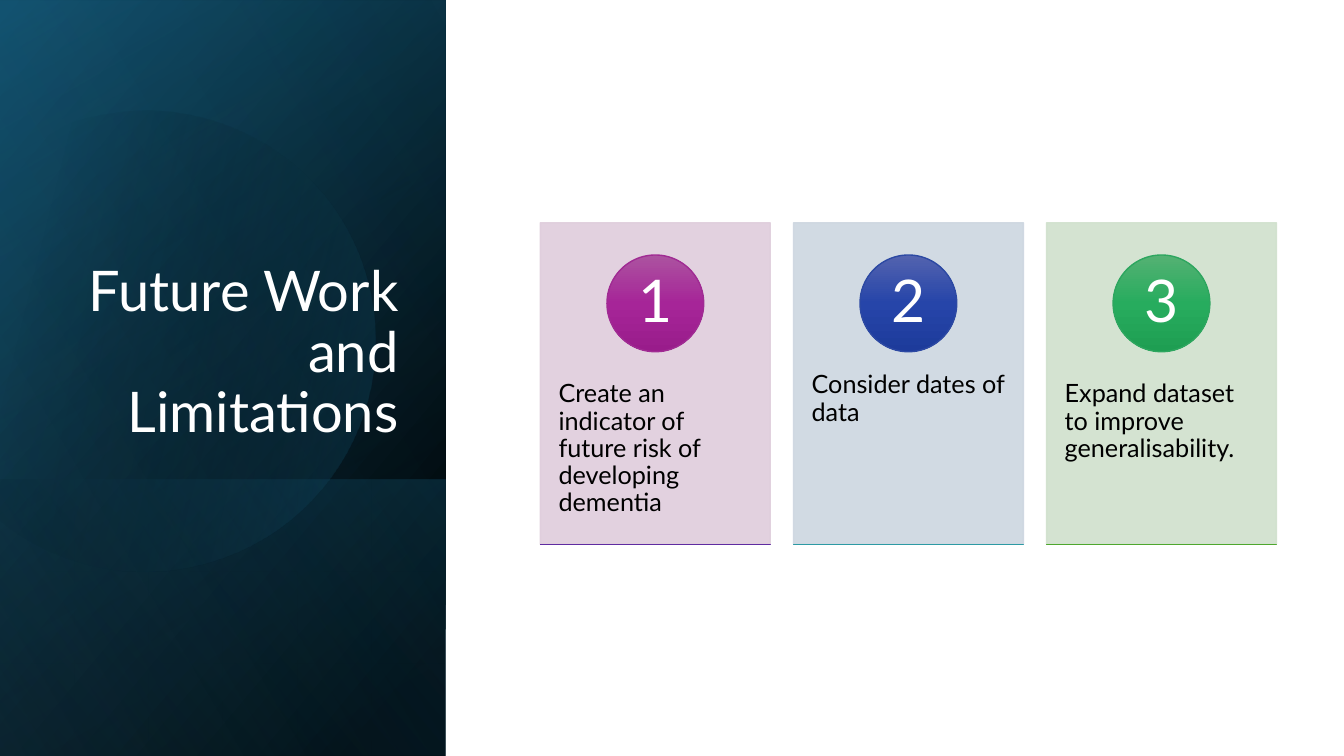
import math

import lxml.etree
import pptx
import pptx.dml.color
import pptx.enum.shapes
import pptx.enum.text
import pptx.oxml.ns
import pptx.util

Inches = pptx.util.Inches
qn = pptx.oxml.ns.qn
SHAPE = pptx.enum.shapes.MSO_SHAPE
ALIGN = pptx.enum.text.PP_ALIGN
ANCHOR = pptx.enum.text.MSO_ANCHOR

# Side panel layers: left, top, width, height, gradient stops, angle
PANEL_LAYERS = [
    (-1.54, 1.54, 7.5, 4.42, [(8, "000000", 100), (100, "104862", 100)], 50),
    (-1.54, 1.55, 7.5, 4.42, [(0, "000000", 0), (99, "156082", 46)], 30),
    (0.84, 3.92, 2.74, 4.42, [(2, "156082", 29), (100, "000000", 30)], 130),
]
PANEL_SHEEN = (-1.54, 1.54, 7.5, 4.42, [(0, "000000", 0), (99, "46B1E1", 11)], 120)

# Disc outline: start point, then curves (three points) and lines (one point)
DISC_START = (1.49, 1.1)
DISC_SEGMENTS = [
    [(2.46, 1.12), (3.35, 1.77), (3.63, 2.75)],
    [(3.98, 3.97), (3.28, 5.23), (2.07, 5.58)],
    [(1.31, 5.8), (0.53, 5.61), (-0.03, 5.14)],
    [(-0.15, 5.03)],
    [(-0.15, 1.75)],
    [(0, 1.61)],
    [(0.23, 1.42), (0.5, 1.28), (0.8, 1.19)],
    [(1.03, 1.13), (1.26, 1.1), (1.49, 1.1)],
]
DISC_CENTRE = (1.585, 3.345)
DISC_TURN = 343.9

# Cards: text, background, circle stops, circle line, rule stops, rule line
CARDS = [
    ("Create an indicator of future risk of developing dementia", "DFCDDC",
     ["AC53A0", "A62598", "991C8B"], "A02B93", ["7353AD", "5E26A7", "531C9A"], "5F2CA1"),
    ("Consider dates of data", "CDD6E0",
     ["5363AF", "2645A9", "1D3B9B"], "2C49A3", ["53A7B0", "279FAA", "1D929D"], "2D9AA4"),
    ("Expand dataset to improve generalisability.", "D0E1CD",
     ["54B173", "27AC5E", "1E9E52"], "2DA65F", ["66B354", "4BAD28", "409F1E"], "4EA72E"),
]


def rgb(value):
    return pptx.dml.color.RGBColor.from_string(value)


def set_alpha(parent, percent):
    for clr in parent.iter(qn("a:srgbClr")):
        lxml.etree.SubElement(clr, qn("a:alpha"), val=str(percent * 1000))


def set_gradient(s, stops, angle):
    s.fill.solid()
    sp_pr = s._element.spPr
    solid = sp_pr.find(qn("a:solidFill"))
    grad = lxml.etree.Element(qn("a:gradFill"), rotWithShape="1")
    stop_list = lxml.etree.SubElement(grad, qn("a:gsLst"))
    for position, color, alpha in stops:
        stop = lxml.etree.SubElement(stop_list, qn("a:gs"), pos=str(position * 1000))
        lxml.etree.SubElement(stop, qn("a:srgbClr"), val=color)
        if alpha < 100:
            set_alpha(stop, alpha)
    lxml.etree.SubElement(grad, qn("a:lin"), ang=str(angle * 60000), scaled="0")
    sp_pr.replace(solid, grad)


def add_shape(slide, kind, box, line=None):
    s = slide.shapes.add_shape(kind, *map(Inches, box))
    s.shadow.inherit = False
    if line:
        s.line.color.rgb = rgb(line)
        s.line.width = pptx.util.Pt(1)
    else:
        s.line.fill.background()
    return s


def add_text(slide, box, text, size, color, align, anchor, inset):
    tf = slide.shapes.add_textbox(*map(Inches, box)).text_frame
    side, end = map(Inches, inset)
    frame = {"word_wrap": True, "vertical_anchor": anchor, "margin_left": side,
             "margin_right": side, "margin_top": end, "margin_bottom": end}
    for name, value in frame.items():
        setattr(tf, name, value)
    p = tf.paragraphs[0]
    p.alignment, p.line_spacing = align, 0.9
    r = p.add_run()
    r.text = text
    for name, value in {"name": "Lato", "size": pptx.util.Pt(size)}.items():
        setattr(r.font, name, value)
    r.font.color.rgb = rgb(color)


def add_layer(slide, left, top, width, height, stops, angle):
    s = add_shape(slide, SHAPE.RECTANGLE, (left, top, width, height))
    s.rotation = 90
    s._element.spPr.find(qn("a:xfrm")).set("flipH", "1")
    set_gradient(s, stops, angle)


def disc_points():
    """Points along the outline, with curves sampled."""
    points = [DISC_START]
    for segment in DISC_SEGMENTS:
        if len(segment) == 1:
            points += segment
            continue
        curve = [points[-1]] + segment
        for step in range(1, 25):
            t = step / 24
            weights = [math.comb(3, i) * t**i * (1 - t)**(3 - i) for i in range(4)]
            points.append(tuple(sum(w * c[axis] for w, c in zip(weights, curve))
                                for axis in range(2)))
    return points


def add_disc(slide):
    turn = math.radians(-DISC_TURN)
    cx, cy = DISC_CENTRE
    level = []
    for x, y in disc_points():
        dx, dy = x - cx, y - cy
        level.append((Inches(cx + dx * math.cos(turn) - dy * math.sin(turn)),
                      Inches(cy + dx * math.sin(turn) + dy * math.cos(turn))))
    builder = slide.shapes.build_freeform(*level[0])
    builder.add_line_segments(level[1:], close=True)
    s = builder.convert_to_shape()
    s.shadow.inherit = False
    s.line.fill.background()
    s.rotation = DISC_TURN
    set_gradient(s, [(29, "000000", 0), (100, "156082", 43)], 30)


def add_side_panel(slide):
    for layer in PANEL_LAYERS:
        add_layer(slide, *layer)
    add_disc(slide)
    add_layer(slide, *PANEL_SHEEN)
    add_text(slide, (0.64, 1.84, 3.41, 2.62), "Future Work and Limitations", 40,
             "FFFFFF", ALIGN.RIGHT, ANCHOR.BOTTOM, (0.1, 0.05))


def add_card(slide, box, number, text, back, circle, circle_line, rule, rule_line):
    left, top, width, height = box
    # Background
    s = add_shape(slide, SHAPE.RECTANGLE, box, back)
    s.fill.solid()
    s.fill.fore_color.rgb = rgb(back)
    set_alpha(s._element.spPr, 90)
    add_text(slide, (left, top + 1.21, width, 1.91), text, 18, "000000",
             ALIGN.LEFT, ANCHOR.TOP, (0.18, 0.36))
    # Numbered circle and bottom rule
    size, label = 0.96, 0.68
    circle_left, circle_top = left + (width - size) / 2, top + 0.32
    parts = [(SHAPE.OVAL, (circle_left, circle_top, size, size), circle, circle_line),
             (SHAPE.RECTANGLE, (left, top + height, width, 0), rule, rule_line)]
    for kind, part_box, colors, line in parts:
        s = add_shape(slide, kind, part_box, line)
        set_gradient(s, [(i * 50, c, 100) for i, c in enumerate(colors)], 90)
    pad = (size - label) / 2
    add_text(slide, (circle_left + pad, circle_top + pad, label, label), str(number),
             42, "FFFFFF", ALIGN.CENTER, ANCHOR.MIDDLE, (0.07, 0.01))


def add_cards(slide, left, top, width, height, pitch):
    for i, card in enumerate(CARDS):
        add_card(slide, (left + i * pitch, top, width, height), i + 1, *card)


def main():
    prs = pptx.Presentation()
    prs.slide_width, prs.slide_height = Inches(13.33), Inches(7.5)
    slide = prs.slides.add_slide(prs.slide_layouts[6])
    add_side_panel(slide)
    add_cards(slide, 5.36, 2.21, 2.28, 3.19, 2.51)
    prs.save("out.pptx")


if __name__ == "__main__":
    main()
